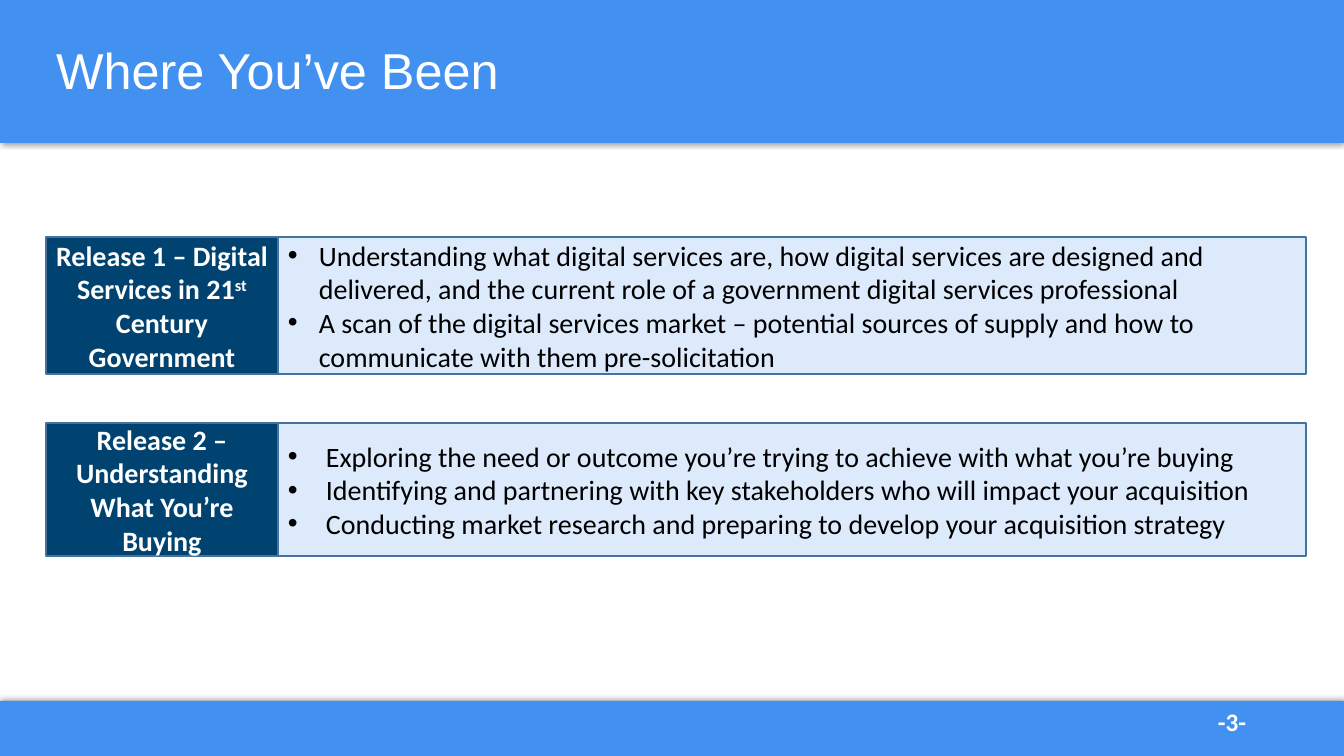
from lxml import etree
from pptx import Presentation
from pptx import util as u
from pptx.dml.color import RGBColor
from pptx.enum import shapes, text
from pptx.oxml import ns

WHITE = RGBColor(0xFF, 0xFF, 0xFF)
BLACK = RGBColor(0x00, 0x00, 0x00)
BAND_BLUE = RGBColor(0x42, 0x91, 0xF0)
LABEL_BLUE = RGBColor(0x00, 0x43, 0x70)
PANEL_BLUE = RGBColor(0xDC, 0xEA, 0xFC)
EDGE_BLUE = RGBColor(0x43, 0x73, 0x9E)

WIDTH, HEIGHT = 1344, 756
EMU_PER_PX = 914400 / 100.8
MARGIN, LABEL_WIDTH, PANEL_WIDTH = 46, 232, 1028

# Each release: top, height, bullet indent, label runs (text, superscript), bullets
RELEASES = [
    (237, 137, 31,
     [("Release 1 – Digital Services in 21", False), ("st", True),
      (" Century Government", False)],
     ["Understanding what digital services are, how digital services are designed "
      "and delivered, and the current role of a government digital services professional",
      "A scan of the digital services market – potential sources of supply and how to "
      "communicate with them pre-solicitation"]),
    (423, 133, 38,
     [("Release 2 – Understanding What You’re Buying", False)],
     ["Exploring the need or outcome you’re trying to achieve with what you’re buying",
      "Identifying and partnering with key stakeholders who will impact your acquisition",
      "Conducting market research and preparing to develop your acquisition strategy"]),
]


def px(length):
    return u.Emu(round(length * EMU_PER_PX))


def add_xml(parent, tag, **attributes):
    element = etree.SubElement(parent, ns.qn(tag))
    for name, value in attributes.items():
        element.set(name, str(value))
    return element


class SlideBuilder:
    TITLE = {"name": "Arial", "size": u.Pt(36), "bold": False}
    NUMBER = {"name": "Calibri", "size": u.Pt(18), "bold": True}
    LABEL = {"name": "Calibri", "size": u.Pt(20), "bold": True}
    BODY = {"name": "Calibri", "size": u.Pt(20), "bold": False}

    def __init__(self, presentation):
        self.slide = presentation.slides.add_slide(presentation.slide_layouts[5])

    def add_words(self, paragraph, words, style, color):
        run = paragraph.add_run()
        run.text = words
        for name, value in style.items():
            setattr(run.font, name, value)
        run.font.color.rgb = color
        return run

    def box(self, left, top, width, height, fill, edge=None):
        shape = self.slide.shapes.add_shape(
            shapes.MSO_SHAPE.RECTANGLE, px(left), px(top), px(width), px(height))
        shape.shadow.inherit = False
        shape.fill.solid()
        shape.fill.fore_color.rgb = fill
        if edge is None:
            shape.line.fill.background()
        else:
            shape.line.color.rgb = edge
            shape.line.width = u.Pt(1)
        shape.text_frame.word_wrap = True
        shape.text_frame.vertical_anchor = text.MSO_ANCHOR.MIDDLE
        return shape

    def band(self, top, height, shadow_angle):
        shape = self.box(0, top, WIDTH, height, BAND_BLUE)
        effects = shape._element.spPr.find(ns.qn("a:effectLst"))
        shadow = add_xml(effects, "a:outerShdw", blurRad=u.Pt(4), dist=u.Pt(1),
                         dir=shadow_angle * 60000, algn="ctr", rotWithShape=0)
        color = add_xml(shadow, "a:srgbClr", val="000000")
        add_xml(color, "a:alpha", val=40000)

    def title(self, words, left, top, width, height):
        shape = self.slide.shapes.title
        self.slide.shapes._spTree.append(shape._element)  # in front of the band
        place = {"left": left, "top": top, "width": width, "height": height}
        for name, value in place.items():
            setattr(shape, name, px(value))
        frame = shape.text_frame
        frame.auto_size = text.MSO_AUTO_SIZE.NONE
        frame.vertical_anchor = text.MSO_ANCHOR.MIDDLE
        paragraph = frame.paragraphs[0]
        paragraph.alignment = text.PP_ALIGN.LEFT
        paragraph.line_spacing = 0.9
        self.add_words(paragraph, words, self.TITLE, WHITE)

    def page_number(self, words, left, top, width, height):
        shape = self.slide.shapes.add_textbox(px(left), px(top), px(width), px(height))
        shape.text_frame.word_wrap = True
        self.add_words(shape.text_frame.paragraphs[0], words, self.NUMBER, WHITE)

    def label(self, runs, top, height):
        shape = self.box(MARGIN, top, LABEL_WIDTH, height, LABEL_BLUE, EDGE_BLUE)
        paragraph = shape.text_frame.paragraphs[0]
        paragraph.alignment = text.PP_ALIGN.CENTER
        for words, superscript in runs:
            run = self.add_words(paragraph, words, self.LABEL, WHITE)
            if superscript:
                run.font._element.set("baseline", "30000")

    def bullet_panel(self, bullets, top, height, indent):
        shape = self.box(MARGIN + LABEL_WIDTH, top, PANEL_WIDTH, height,
                         PANEL_BLUE, EDGE_BLUE)
        frame = shape.text_frame
        for index, words in enumerate(bullets):
            paragraph = frame.add_paragraph() if index else frame.paragraphs[0]
            paragraph.alignment = text.PP_ALIGN.LEFT
            properties = paragraph._p.get_or_add_pPr()
            properties.set("marL", str(px(indent)))
            properties.set("indent", str(-px(indent)))
            add_xml(properties, "a:buFont", typeface="Arial")
            add_xml(properties, "a:buChar", char="•")
            self.add_words(paragraph, words, self.BODY, BLACK)


def main():
    presentation = Presentation()
    presentation.slide_width, presentation.slide_height = px(WIDTH), px(HEIGHT)
    builder = SlideBuilder(presentation)

    # Header and footer
    builder.band(701, 55, shadow_angle=270)
    builder.band(0, 143, shadow_angle=90)
    builder.page_number("-3-", 1208, 701, 99, 40)
    builder.title("Where You’ve Been", MARGIN, 0, 1092, 146)

    # Releases
    for top, height, indent, label_runs, bullets in RELEASES:
        builder.bullet_panel(bullets, top, height, indent)
        builder.label(label_runs, top, height)

    presentation.save("out.pptx")


if __name__ == "__main__":
    main()
